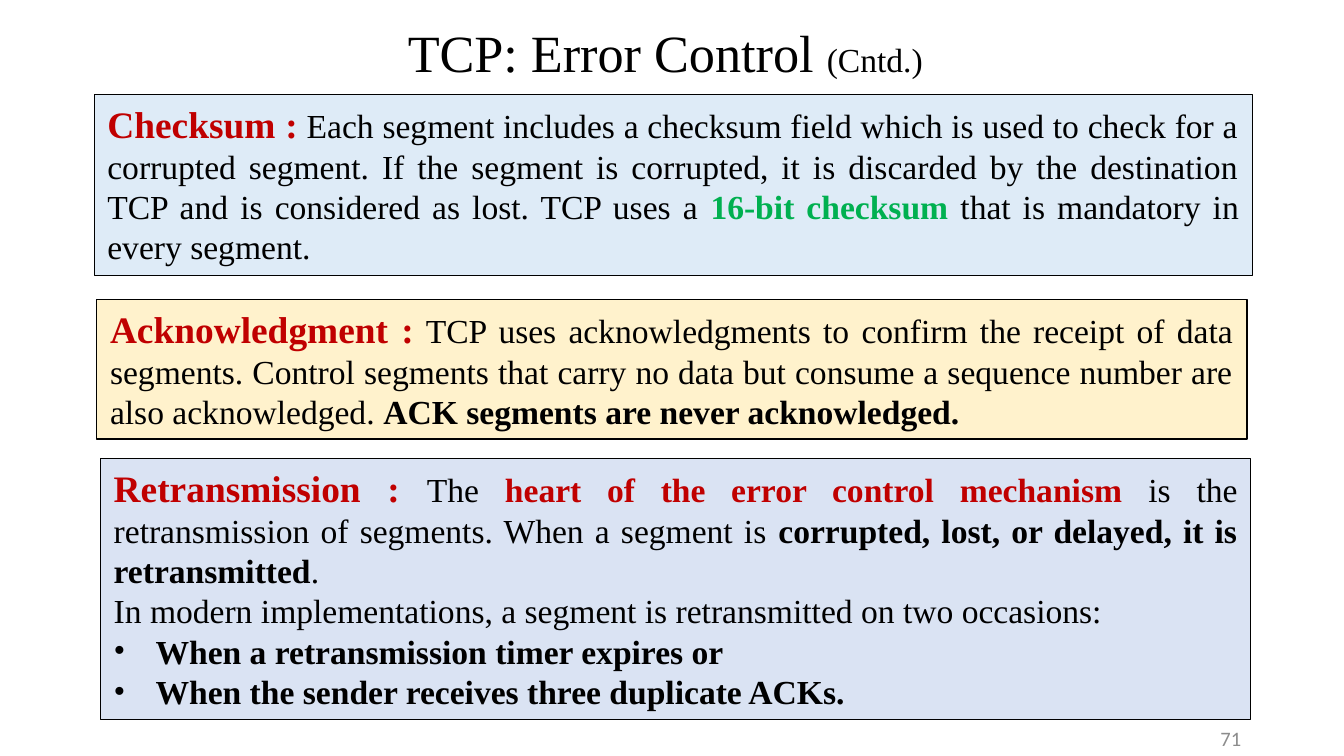
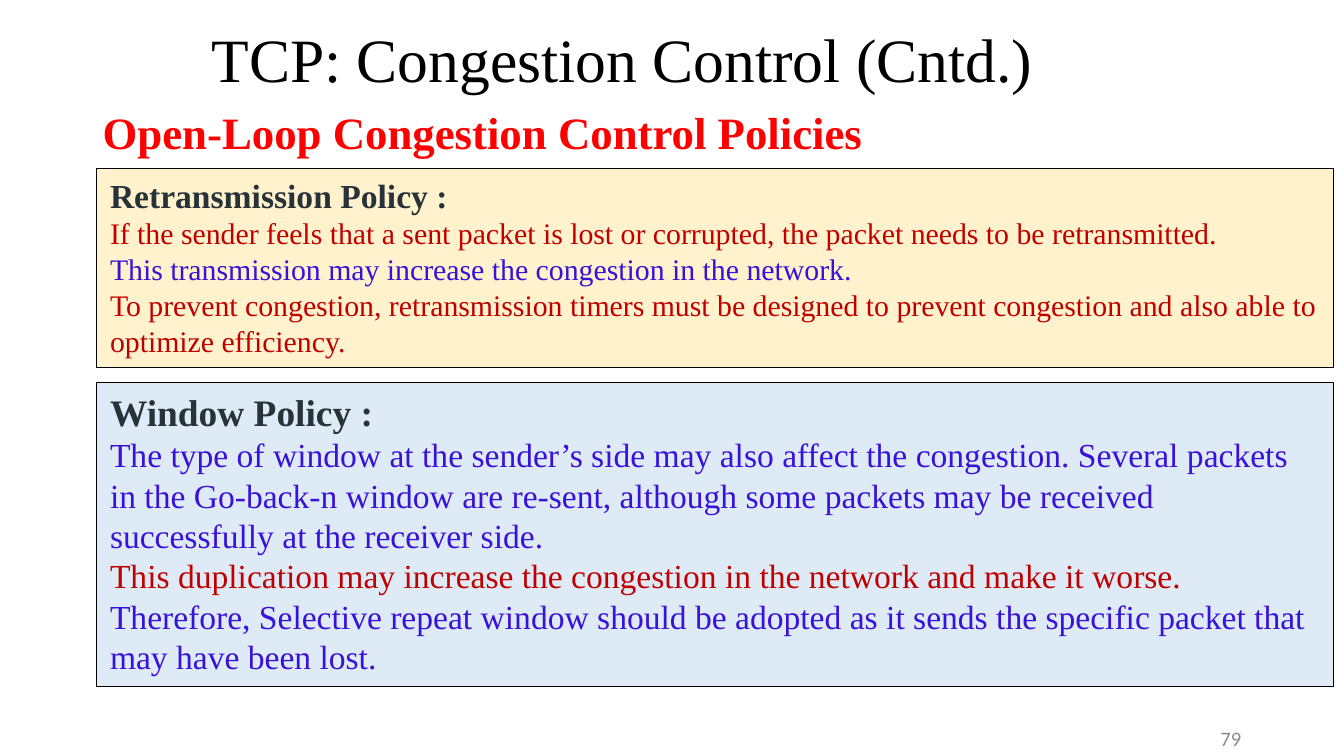
from lxml.etree import SubElement
from pptx import Presentation
from pptx.dml.color import RGBColor
from pptx.enum.shapes import MSO_SHAPE as Shape
from pptx.enum.text import MSO_ANCHOR as Anchor, MSO_AUTO_SIZE as Auto, PP_ALIGN as Align
from pptx.oxml.ns import qn
from pptx.util import Cm, Pt

SERIF, SANS = "Times New Roman", "Calibri"
BLACK, DARK, GREY = "000000", "273239", "8C8C8C"
RED, BRIGHT, GREEN, VIOLET = "C00000", "FF0000", "00B050", "3812D8"
CREAM, SKY, HAZE = "FFF2CC", "DEEBF7", "DAE3F3"
INDENT = Cm(0.79)


def tint(text):
    return RGBColor.from_string(text)


def run(text, size=18, color=BLACK, bold=False):
    return text, size, color, bold


def style(font, size, color, bold):
    font.size, font.bold = Pt(size), bold
    font.color.rgb = tint(color)


def bullet(para):
    props = para._p.get_or_add_pPr()
    props.set("marL", str(INDENT))
    props.set("indent", str(-INDENT))
    color = SubElement(props, qn("a:buClr"))
    SubElement(color, qn("a:srgbClr")).set("val", BLACK)
    SubElement(props, qn("a:buFont")).set("typeface", SERIF)
    SubElement(props, qn("a:buChar")).set("char", "•")


def write(frame, paras, align=Align.LEFT, face=SERIF, space=None, dots=0):
    frame.word_wrap = True
    for num, runs in enumerate(paras):
        para = frame.paragraphs[0] if num == 0 else frame.add_paragraph()
        para.alignment = align
        if space:
            para.line_spacing = space
        if num >= len(paras) - dots:
            bullet(para)
        para.font.name = face
        same = len({part[1:] for part in runs}) == 1
        if same:
            style(para.font, *runs[0][1:])
        for text, *look in runs:
            piece = para.add_run()
            piece.text = text.rstrip("\n")
            if not same:
                style(piece.font, *look)
            if text.endswith("\n"):
                para.add_line_break()


def label(slide, box, runs, anchor=Anchor.MIDDLE, inset=0.19, **opts):
    frame = slide.shapes.add_textbox(*map(Cm, box)).text_frame
    frame.vertical_anchor = anchor
    frame.margin_left, frame.margin_right = Cm(inset), Cm(0.19)
    frame.margin_top = frame.margin_bottom = Cm(0.1)
    write(frame, [runs], **opts)


def panel(slide, box, fill, paras, line=0.5, **opts):
    shape = slide.shapes.add_shape(Shape.RECTANGLE, *map(Cm, box))
    shape.shadow.inherit = False
    shape.fill.solid()
    shape.fill.fore_color.rgb = tint(fill)
    shape.line.color.rgb = tint(BLACK)
    shape.line.width = Pt(line)
    frame = shape.text_frame
    frame.vertical_anchor = Anchor.TOP
    frame.auto_size = Auto.SHAPE_TO_FIT_TEXT
    write(frame, paras, **opts)


def start(deck, page, box, title, align=Align.LEFT):
    slide = deck.slides.add_slide(deck.slide_layouts[6])
    label(slide, (17.93, 13.62, 5.72, 0.67), [run(page, 11, GREY)],
          align=Align.RIGHT, face=SANS)
    label(slide, box, title, align=align, space=0.9)
    return slide


def errors(deck):
    slide = start(deck, "71", (1.78, 0.33, 21.59, 1.45),
                  [run("TCP: Error Control ", 28), run("(Cntd.)")], Align.CENTER)
    panel(slide, (1.9, 8.66, 21.74, 4.95), HAZE, [
        [run("Retransmission : ", 20, RED, True),
         run("The "),
         run("heart of the error control mechanism ", 18, RED, True),
         run("is the retransmission of segments. When a segment is "),
         run("corrupted, lost, or delayed, it is retransmitted", bold=True),
         run(".")],
        [run("In modern implementations, a segment is retransmitted on two occasions:")],
        [run("When a retransmission timer expires or", bold=True)],
        [run("When the sender receives three duplicate ACKs.", bold=True)],
    ], align=Align.JUSTIFY, dots=2)
    panel(slide, (1.83, 5.66, 21.74, 2.64), CREAM, [
        [run("Acknowledgment :", 20, RED, True),
         run(" TCP uses acknowledgments to confirm the receipt of data segments. "
             "Control segments that carry no data but consume a sequence number "
             "are also acknowledged. "),
         run("ACK segments are never acknowledged.", bold=True)],
    ], line=0.75, align=Align.JUSTIFY)
    panel(slide, (1.78, 1.78, 21.89, 3.43), SKY, [
        [run("Checksum :", 20, RED, True),
         run(" Each segment includes a checksum field which is used to check for a "
             "corrupted segment. If the segment is corrupted, it is discarded by the "
             "destination TCP and is considered as lost. TCP uses a "),
         run("16-bit checksum ", 18, GREEN, True),
         run("that is mandatory in every segment.")],
    ], align=Align.JUSTIFY)


def policies(deck):
    slide = start(deck, "79", (3.81, 0.58, 21.59, 1.19),
                  [run("TCP: Congestion Control (Cntd.)", 33)])
    label(slide, (1.55, 2.08, 23.65, 4.27),
          [run("Open-Loop Congestion Control Policies", 24, BRIGHT, True)],
          anchor=Anchor.TOP, inset=0.39, space=0.8)
    panel(slide, (1.83, 3.18, 23.37, 3.76), CREAM, [
        [run("Retransmission Policy :\n", 18, DARK, True),
         run("If the sender feels that a sent packet is lost or corrupted, "
             "the packet needs to be retransmitted.", 16, RED)],
        [run("This transmission may increase the congestion in the network.\n", 16, VIOLET),
         run("To prevent congestion, retransmission timers must be designed to prevent "
             "congestion and also able to optimize efficiency.", 16, RED)],
    ])
    panel(slide, (1.83, 7.24, 23.37, 5.74), SKY, [
        [run("Window Policy :\n", 20, DARK, True),
         run("The type of window at the sender’s side may also affect the congestion. "
             "Several packets in the Go-back-n window are re-sent, although some packets "
             "may be received successfully at the receiver side.", 18, VIOLET)],
        [run("This duplication may increase the congestion in the network "
             "and make it worse.\n", 18, RED),
         run("Therefore, Selective repeat window should be adopted as it sends the "
             "specific packet that may have been lost.", 18, VIOLET)],
    ])


def main():
    deck = Presentation()
    deck.slide_width, deck.slide_height = Cm(25.4), Cm(14.29)
    errors(deck)
    policies(deck)
    deck.save("out.pptx")


if __name__ == "__main__":
    main()
